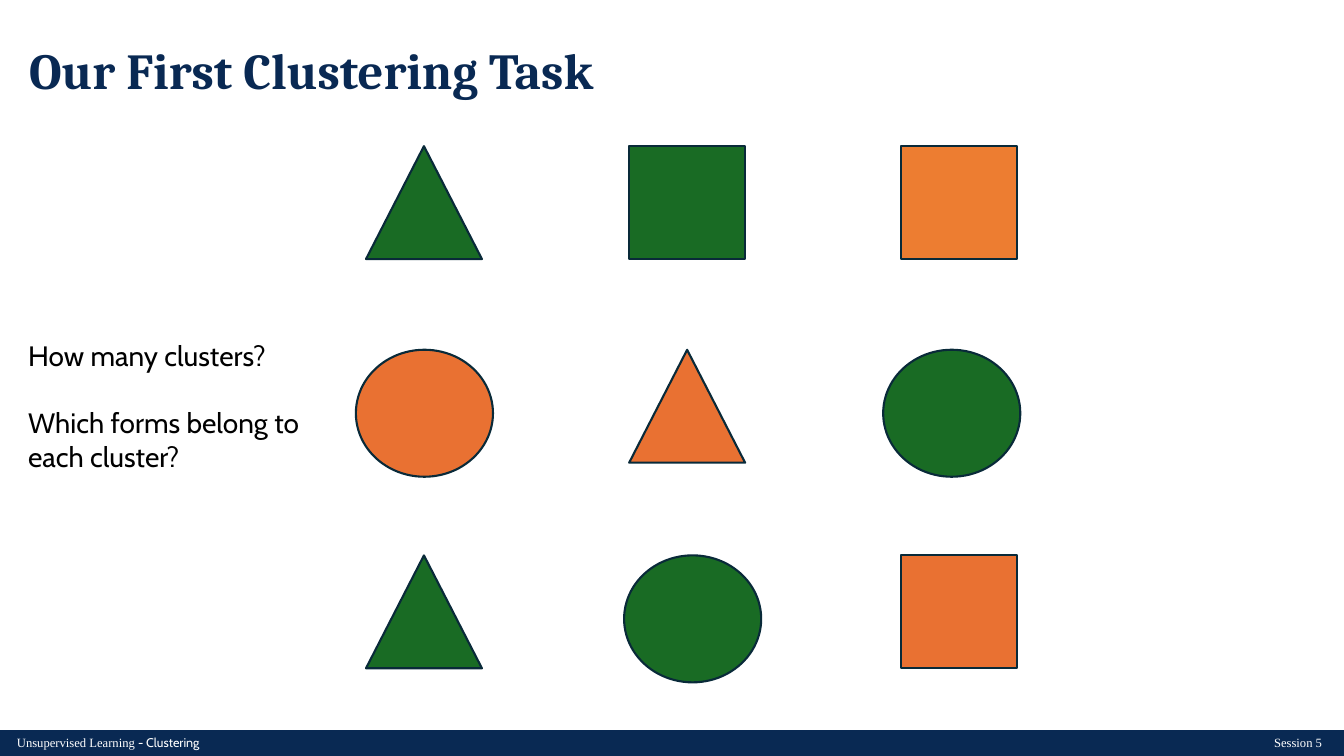
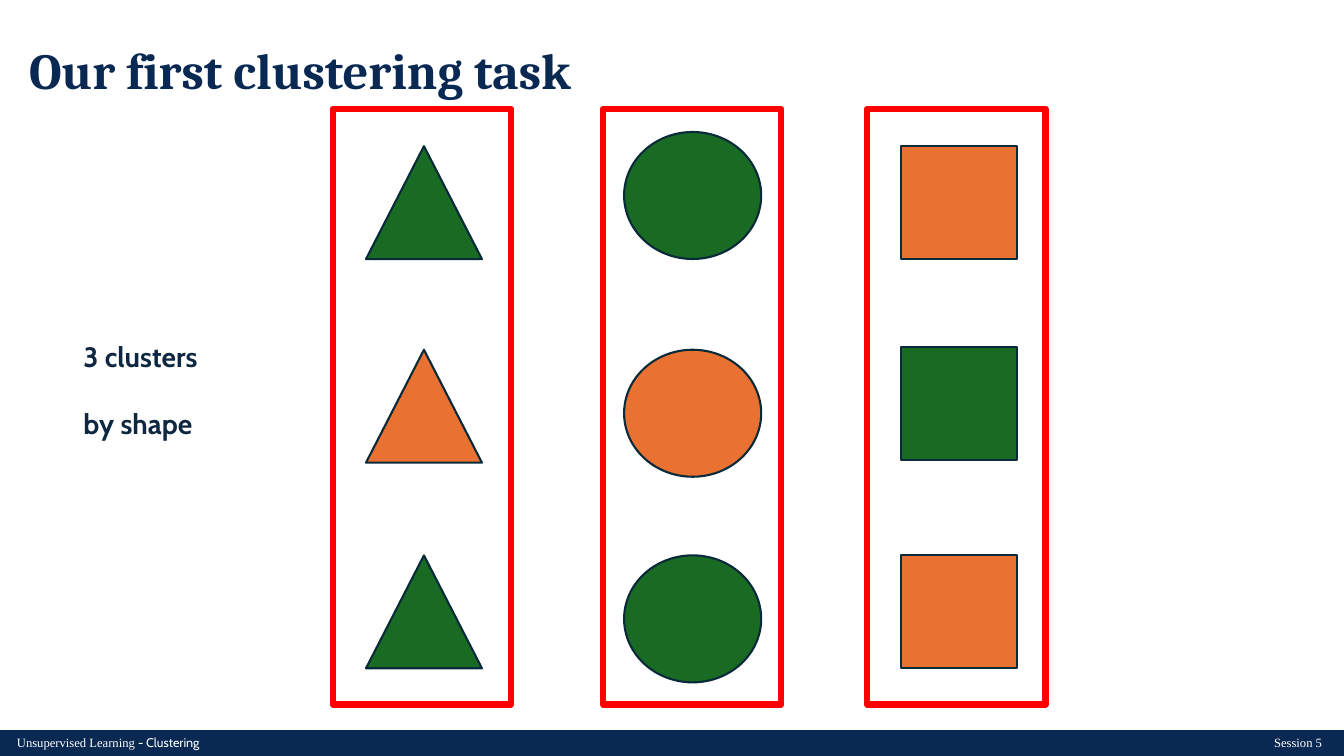
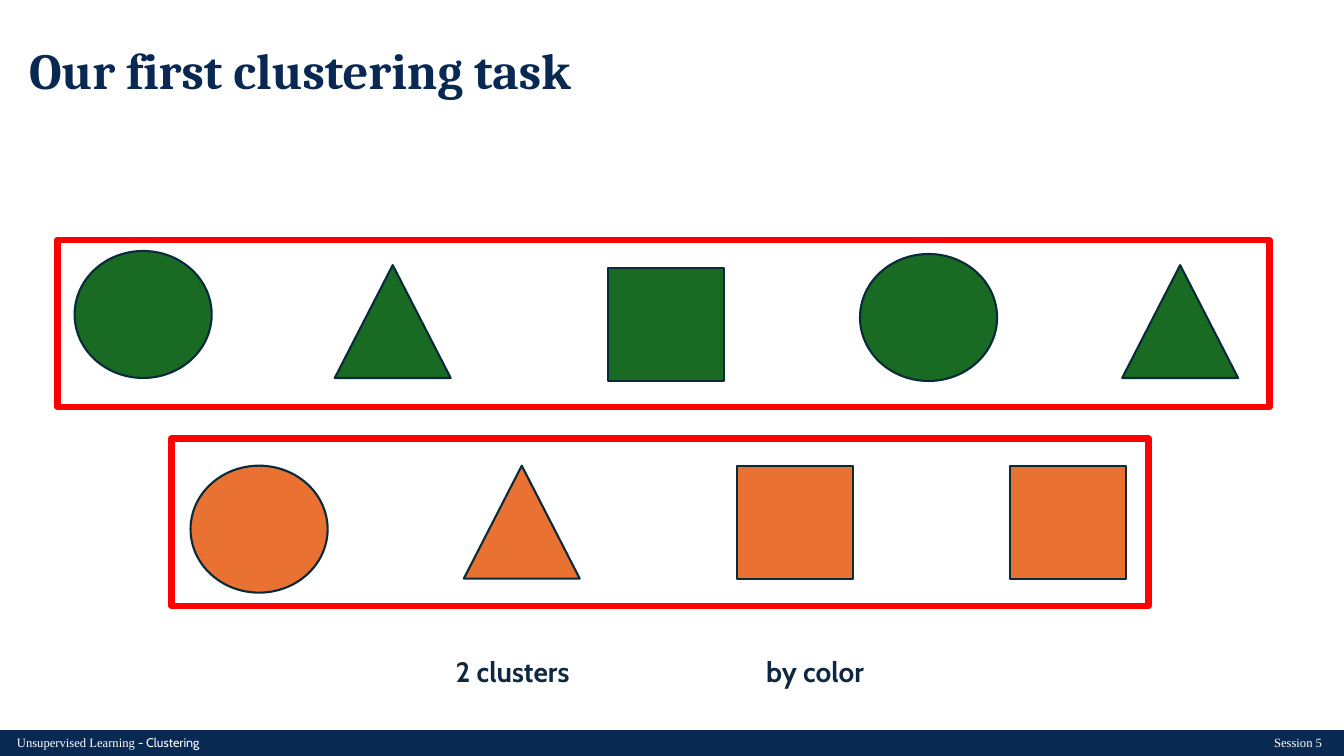
from lxml import etree
from pptx import Presentation
from pptx.dml.color import RGBColor
from pptx.enum import shapes, text
from pptx.oxml.ns import qn
from pptx.util import Inches, Pt

W, H = 13.33, 7.5
NAVY, INK, OUTLINE, WHITE, BLACK = "092953", "0E2841", "092A39", "FFFFFF", "000000"
GREEN, ORANGE, AMBER, RED = "196B24", "E97132", "ED7D31", "FF0000"
HEAD, BODY, FOOT = "Cambria", "Cabin", "Times New Roman"
KINDS = shapes.MSO_SHAPE
TRI, SQR, OVAL = KINDS.ISOSCELES_TRIANGLE, KINDS.RECTANGLE, KINDS.OVAL
SIZES = {TRI: (1.15, 1.12), SQR: (1.15, 1.12), OVAL: (1.36, 1.26)}
ROWS = (0.37, 2.39, 4.43)


def rgb(hex_color):
    """Turn a hex string into a colour."""
    return RGBColor.from_string(hex_color)


def style(font, name, size, color, bold=False):
    """Set the face, size, colour and weight of a font."""
    font.name, font.size, font.bold = name, Pt(size), bold
    font.color.rgb = rgb(color)


def add_shape(s, kind, box, fill, line, width=1.5):
    """Add a flat preset shape; a fill of None leaves it hollow."""
    sp = s.shapes.add_shape(kind, *map(Inches, box))
    sp.shadow.inherit = False
    if fill:
        sp.fill.solid()
        sp.fill.fore_color.rgb = rgb(fill)
    else:
        sp.fill.background()
    sp.line.color.rgb = rgb(line)
    sp.line.width = Pt(width)
    return sp


def add_text(s, box, lines, name, size, color, bold=False, gap=0, tab=None):
    """Add a wrapped text box with one paragraph per line and return its frame."""
    tf = s.shapes.add_textbox(*map(Inches, box)).text_frame
    tf.word_wrap = True
    for i, line in enumerate(lines):
        p = tf.paragraphs[0] if i == 0 else tf.add_paragraph()
        p.add_run().text = line
        if i:
            p.space_before = Pt(gap)
        if tab:
            tabs = etree.SubElement(p._p.get_or_add_pPr(), qn("a:tabLst"))
            etree.SubElement(tabs, qn("a:tab"), pos=str(Inches(tab)), algn="l")
        style(p.font, name, size, color, bold)
    return tf


def add_footer(s, box):
    """Draw the footer band with the topic on the left and the session on the right."""
    x, y, w, h = box
    add_shape(s, KINDS.RECTANGLE, box, NAVY, NAVY)
    tf = add_text(s, (x + 0.07, y - 0.01, 7.44, h), ["Unsupervised Learning "], FOOT, 9, WHITE)
    r = tf.paragraphs[0].add_run()
    r.text = "- Clustering"
    r.font.name = BODY
    tf = add_text(s, (x + w - 7.56, y - 0.01, 7.44, h), ["Session 5"], FOOT, 9, WHITE)
    tf.paragraphs[0].alignment = text.PP_ALIGN.RIGHT


def add_slide(prs, title):
    """Add a blank slide with the shared title and footer."""
    s = prs.slides.add_slide(prs.slide_layouts[6])
    tf = add_text(s, (0.19, 0, 11.5, 1.45), [title], HEAD, 36, NAVY, True)
    tf.vertical_anchor = text.MSO_ANCHOR.MIDDLE
    tf.paragraphs[0].line_spacing = 0.9
    add_footer(s, (0, H - 0.25, W, 0.25))
    return s


def add_forms(s, box, forms, framed=True):
    """Place forms (kind, colour, dx, dy) inside a box, with a red frame if wanted."""
    x, y, _, _ = box
    for kind, color, dx, dy in forms:
        add_shape(s, kind, (x + dx, y + dy, *SIZES[kind]), color, OUTLINE)
    if framed:
        add_shape(s, KINDS.RECTANGLE, box, None, RED, 4.5)


def task_slide(prs):
    """Show the mixed forms and the questions."""
    s = add_slide(prs, "Our First Clustering Task")
    grid = (
        ((TRI, GREEN), (SQR, GREEN), (SQR, AMBER)),
        ((OVAL, ORANGE), (TRI, ORANGE), (OVAL, GREEN)),
        ((TRI, GREEN), (OVAL, GREEN), (SQR, ORANGE)),
    )
    oval_cols, other_cols = (0.23, 2.89, 5.46), (0.33, 2.94, 5.64)
    forms = [
        (kind, color, (oval_cols if kind == OVAL else other_cols)[col], dy)
        for dy, row in zip(ROWS, grid)
        for col, (kind, color) in enumerate(row)
    ]
    add_forms(s, (3.3, 1.08, 7.07, 5.91), forms, framed=False)
    questions = ["How many clusters?", "Which forms belong to each cluster?"]
    add_text(s, (0.18, 3.31, 3, 1.45), questions, BODY, 20, BLACK, gap=24)


def shape_slide(prs):
    """Show three framed columns, one for each kind of form."""
    s = add_slide(prs, "Our first clustering task")
    columns = (
        (3.3, TRI, 0.33, ROWS, (GREEN, ORANGE, GREEN)),
        (5.98, OVAL, 0.21, (0.23, *ROWS[1:]), (GREEN, ORANGE, GREEN)),
        (8.6, SQR, 0.34, (0.37, 2.36, 4.43), (ORANGE, GREEN, ORANGE)),
    )
    for x, kind, dx, rows, colors in columns:
        forms = [(kind, color, dx, dy) for color, dy in zip(colors, rows)]
        add_forms(s, (x, 1.08, 1.77, 5.91), forms)
    add_text(s, (0.73, 3.32, 3, 1.11), ["3 clusters", "by shape"], BODY, 20, INK, True, gap=24)


def color_slide(prs):
    """Show two framed rows, one for each colour."""
    s = add_slide(prs, "Our first clustering task")
    greens = ((OVAL, 0.17, 0.11), (TRI, 2.75, 0.25), (SQR, 5.46, 0.28),
              (OVAL, 7.96, 0.14), (TRI, 10.56, 0.25))
    add_forms(s, (0.57, 2.38, 12.02, 1.66), [(k, GREEN, dx, dy) for k, dx, dy in greens])
    oranges = [(k, ORANGE, 0.19 + 2.71 * i, 0.27) for i, k in enumerate((OVAL, TRI, SQR, SQR))]
    add_forms(s, (1.7, 4.35, 9.69, 1.66), oranges)
    add_text(s, (4.42, 6.44, 4.49, 0.44), ["2 clusters\tby color"], BODY, 20, INK, True, tab=3.08)


def main():
    """Build and save the presentation."""
    prs = Presentation()
    prs.slide_width, prs.slide_height = Inches(W), Inches(H)
    task_slide(prs)
    shape_slide(prs)
    color_slide(prs)
    prs.save("out.pptx")


if __name__ == "__main__":
    main()
